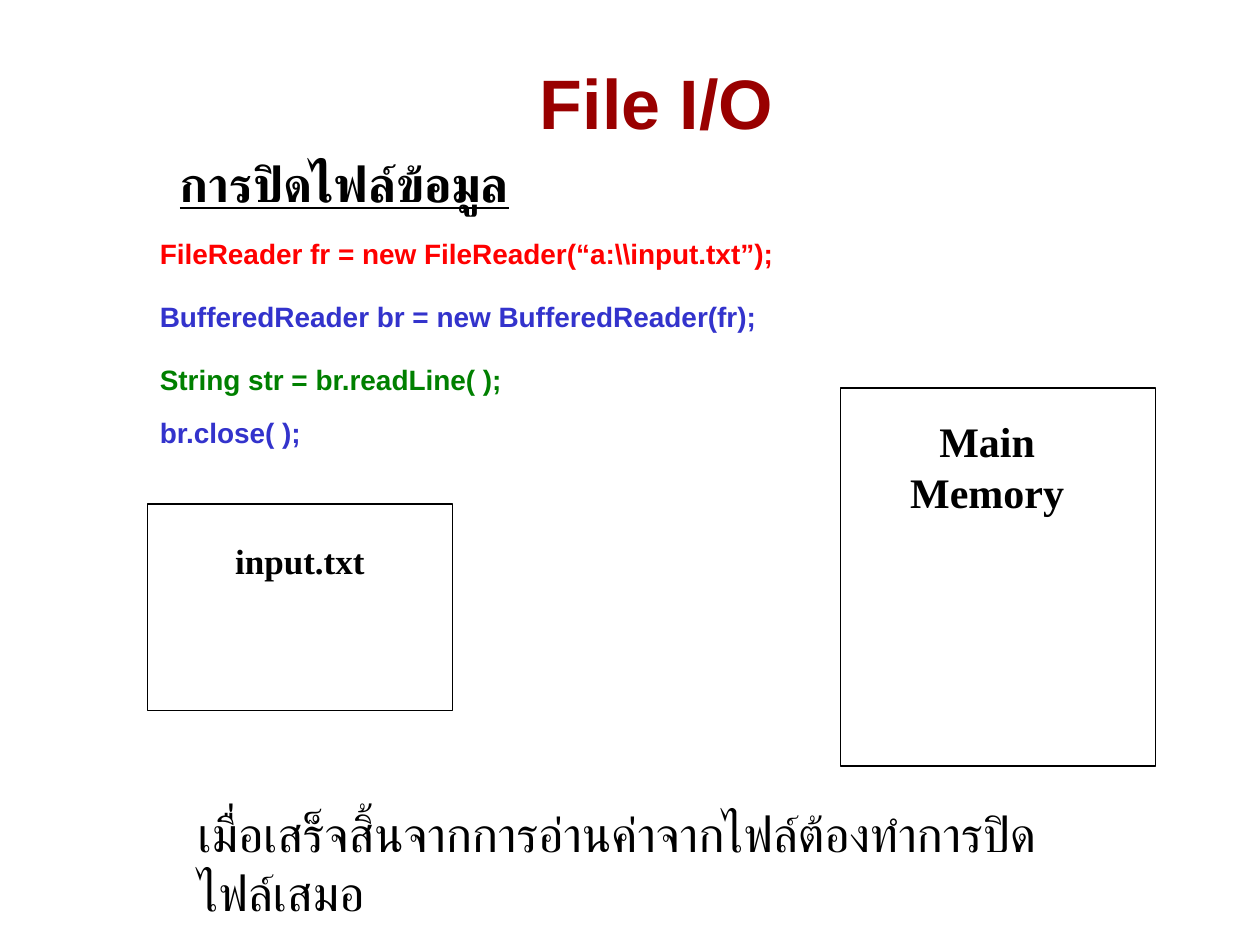
from dataclasses import dataclass

from lxml.etree import SubElement
from pptx import Presentation
from pptx.dml.color import RGBColor
from pptx.enum.shapes import MSO_SHAPE
from pptx.enum.text import PP_ALIGN
from pptx.oxml.ns import qn
from pptx.util import Inches, Pt

COLORS = {
    "title": "990000",
    "black": "000000",
    "white": "FFFFFF",
    "red": "FF0000",
    "blue": "3333CC",
    "green": "008000",
}
SANS, SERIF = "Arial", "Times New Roman"


@dataclass
class Box:
    left: float
    top: float
    width: float
    height: float


@dataclass
class Label:
    box: Box
    text: str
    size: int
    font: str = SANS
    color: str = "black"
    bold: bool = True
    underline: bool = False
    align: PP_ALIGN = PP_ALIGN.LEFT


def lengths(box: Box) -> list:
    return [Inches(v) for v in (box.left, box.top, box.width, box.height)]


def add_frame(slide, box: Box) -> None:
    sp = slide.shapes.add_shape(MSO_SHAPE.RECTANGLE, *lengths(box))
    sp.shadow.inherit = False
    sp.fill.solid()
    sp.fill.fore_color.rgb = RGBColor.from_string(COLORS["white"])
    sp.line.color.rgb = RGBColor.from_string(COLORS["black"])
    sp.line.width = Pt(0.75)


def add_label(slide, label: Label) -> None:
    tf = slide.shapes.add_textbox(*lengths(label.box)).text_frame
    tf.word_wrap = True
    p = tf.paragraphs[0]
    p.alignment = label.align
    r = p.add_run()
    r.text = label.text
    formats = {
        "name": label.font,
        "size": Pt(label.size),
        "bold": label.bold,
        "underline": label.underline,
    }
    for name, value in formats.items():
        setattr(r.font, name, value)
    r.font.color.rgb = RGBColor.from_string(COLORS[label.color])
    # Thai letters take the complex-script typeface
    SubElement(r.font._element, qn("a:cs")).set("typeface", SERIF)


FRAMES = [Box(1.17, 4, 2.42, 1.64), Box(6.67, 3.08, 2.5, 3)]

LABELS = [
    Label(Box(1.67, 0.42, 7.08, 0.77), "File I/O", 40, color="title",
          align=PP_ALIGN.CENTER),
    Label(Box(1.33, 1.17, 5.25, 0.57), "การปิดไฟล์ข้อมูล", 28, underline=True),
    Label(Box(1.42, 4.23, 1.92, 0.43), "input.txt", 20, SERIF,
          align=PP_ALIGN.CENTER),
    Label(Box(6.75, 3.25, 2.17, 0.9), "Main Memory", 24, SERIF,
          align=PP_ALIGN.CENTER),
    Label(Box(1.47, 6.33, 6.9, 0.57),
          "เมื่อเสร็จสิ้นจากการอ่านค่าจากไฟล์ต้องทำการปิดไฟล์เสมอ",
          28, SERIF, bold=False),
]

# Code lines: top, width, colour, text
CODE = [
    (1.83, 7.5, "red", "FileReader fr = new FileReader(“a:\\\\input.txt”);"),
    (2.33, 6.17, "blue", "BufferedReader br = new BufferedReader(fr);"),
    (2.83, 5.5, "green", "String str = br.readLine( );"),
    (3.25, 4, "blue", "br.close( );"),
]


def main() -> None:
    prs = Presentation()
    prs.slide_width, prs.slide_height = Inches(10), Inches(7.5)
    s = prs.slides.add_slide(prs.slide_layouts[6])

    # File and memory frames
    for box in FRAMES:
        add_frame(s, box)

    # Headings, captions and closing remark
    for label in LABELS:
        add_label(s, label)

    # Code listing
    for top, width, color, text in CODE:
        add_label(s, Label(Box(1.17, top, width, 0.37), text, 16, color=color))

    prs.save("out.pptx")


if __name__ == "__main__":
    main()
